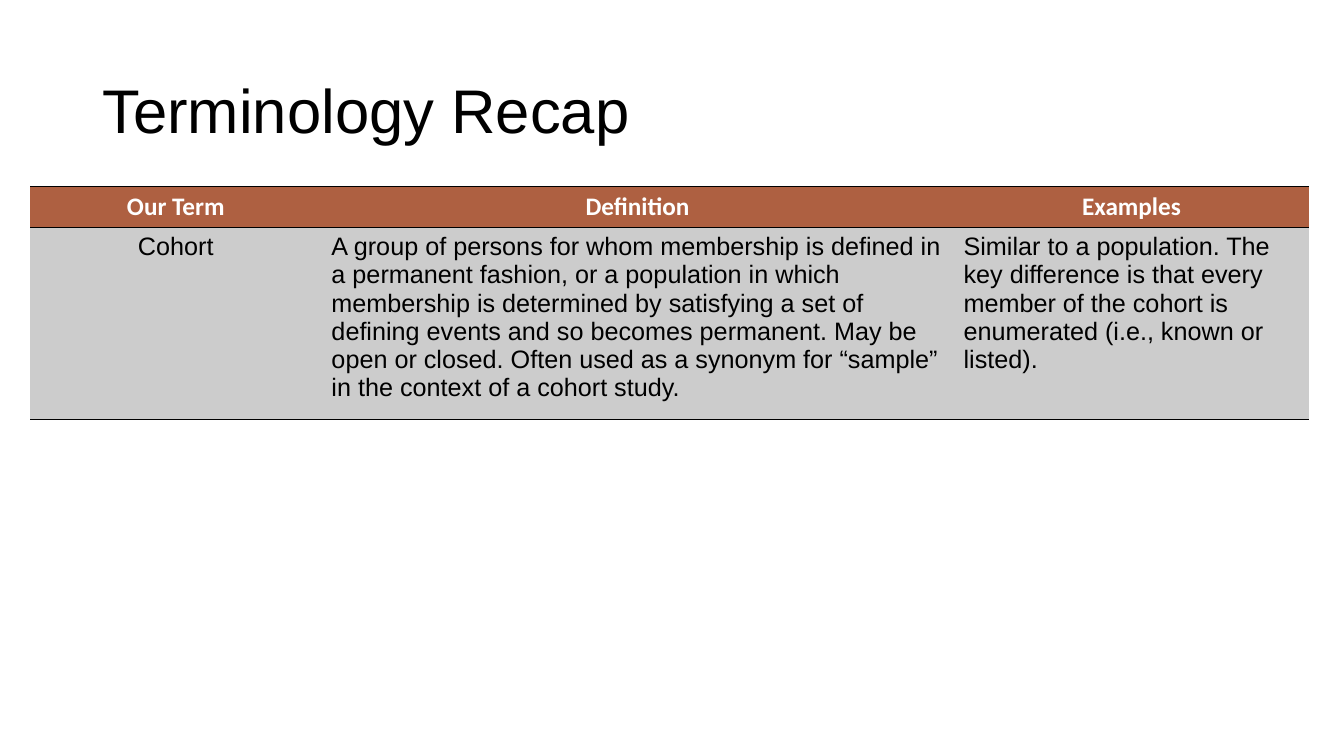
import pptx
import pptx.util
import pptx.dml.color
import pptx.enum.text
import pptx.oxml
import pptx.oxml.ns

Cm, Pt = pptx.util.Cm, pptx.util.Pt
RGB = pptx.dml.color.RGBColor.from_string
ALIGN = pptx.enum.text.PP_ALIGN

# Content
TITLE = "Terminology Recap"
ROWS = [
    ["Our Term", "Definition", "Examples"],
    [
        "Cohort",
        "A group of persons for whom membership is defined in a permanent "
        "fashion, or a population in which membership is determined by "
        "satisfying a set of defining events and so becomes permanent. May be "
        "open or closed. Often used as a synonym for “sample” in the context "
        "of a cohort study.",
        "Similar to a population. The key difference is that every member of "
        "the cohort is enumerated (i.e., known or listed).",
    ],
]
COLORS = {"text": "000000", "header": "AE6041", "body": "CCCCCC", "white": "FFFFFF"}
COL_WIDTHS = [7.34, 15.93, 8.97]
ROW_HEIGHTS = [1.04, 4.52]
NO_STYLE = "{2D5ABB26-0587-4C30-8999-92F81FD0307C}"


def add_rules(cell):
    """Draw a thin line above and below a cell."""
    tcPr = cell._tc.get_or_add_tcPr()
    for side in ("lnT", "lnB"):
        tcPr.append(pptx.oxml.parse_xml(
            f'<a:{side} {pptx.oxml.ns.nsdecls("a")} w="12700"><a:solidFill>'
            f'<a:srgbClr val="{COLORS["text"]}"/></a:solidFill></a:{side}>'))


def style(p, size, font, color, bold=False):
    p.font.size, p.font.name, p.font.bold = Pt(size), font, bold
    p.font.color.rgb = RGB(color)


prs = pptx.Presentation()
prs.slide_width, prs.slide_height = Cm(33.87), Cm(19.05)
slide = prs.slides.add_slide(prs.slide_layouts[6])

# Title
tf = slide.shapes.add_textbox(Cm(2.33), Cm(1.01), Cm(29.21), Cm(3.68)).text_frame
tf.word_wrap = True
tf.vertical_anchor = pptx.enum.text.MSO_ANCHOR.MIDDLE
p = tf.paragraphs[0]
p.text = TITLE
p.line_spacing = 0.9
style(p, 44, "Arial", COLORS["text"])

# Table
sp = slide.shapes.add_table(len(ROWS), len(COL_WIDTHS), Cm(0.76), Cm(4.7),
                            Cm(sum(COL_WIDTHS)), Cm(sum(ROW_HEIGHTS)))
table = sp.table
table.horz_banding = False
table._tbl.tblPr.find(pptx.oxml.ns.qn("a:tableStyleId")).text = NO_STYLE
for column, width in zip(table.columns, COL_WIDTHS):
    column.width = Cm(width)
for row, height in zip(table.rows, ROW_HEIGHTS):
    row.height = Cm(height)

for i, texts in enumerate(ROWS):
    header = i == 0
    for j, text in enumerate(texts):
        cell = table.cell(i, j)
        add_rules(cell)
        cell.fill.solid()
        cell.fill.fore_color.rgb = RGB(COLORS["header" if header else "body"])
        p = cell.text_frame.paragraphs[0]
        p.text = text
        p.alignment = ALIGN.CENTER if header or j == 0 else ALIGN.LEFT
        if header:
            style(p, 18, "Calibri", COLORS["white"], bold=True)
        else:
            style(p, 18, "Arial", COLORS["text"])

prs.save("out.pptx")
